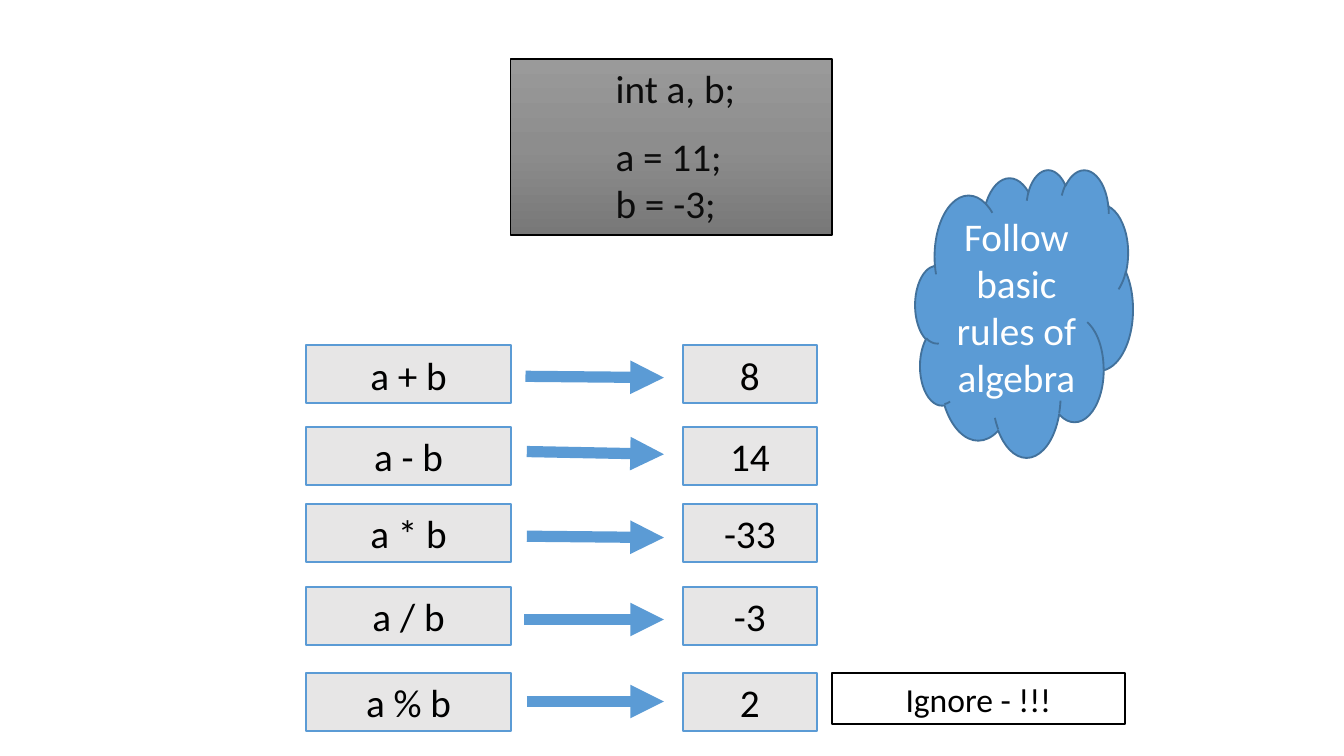
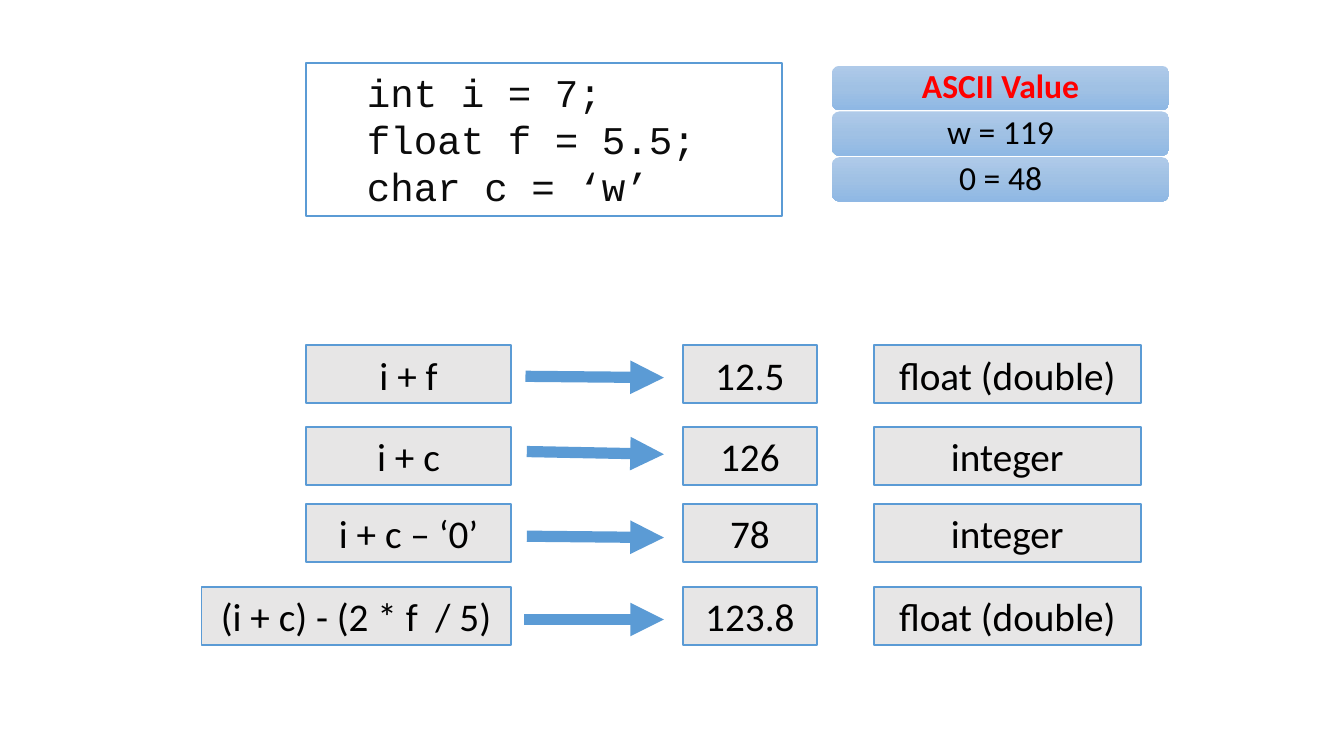
import copy

import pptx
import pptx.util
from lxml import etree
from pptx.dml.color import RGBColor
from pptx.enum.shapes import MSO_CONNECTOR, MSO_SHAPE
from pptx.enum.text import MSO_ANCHOR, MSO_AUTO_SIZE, PP_ALIGN
from pptx.oxml.ns import qn
from pptx.util import Inches

BLUE, GREY, WHITE, BLACK, INK = "5B9BD5", "E7E6E6", "FFFFFF", "000000", "0C0C0C"
ROW_TOPS = [2.57, 3.18, 3.75, 4.37, 5.01]
ROW_HEIGHT = 0.43
# Start x, start y and end y of the arrow in each row
ARROWS = [(3.91, 2.8, 2.81), (3.92, 3.36, 3.38), (3.92, 3.99, 4),
          (3.9, 4.61, 4.61), (3.92, 5.22, 5.22)]
ARROW_END = 4.94


def rgb(value):
    return RGBColor.from_string(value)


def add_box(s, at, lines, fill=GREY, line=BLUE, width=1, size=21, color=BLACK,
            font="Calibri", kind=MSO_SHAPE.RECTANGLE, level=0, indent=None,
            middle=False, bold=None):
    """Shape with text; a list of colours as fill makes a vertical gradient."""
    sp = s.shapes.add_shape(kind, *[Inches(v) for v in at])
    sp.shadow.inherit = False
    if isinstance(fill, list):
        sp.fill.gradient()
        sp.fill.gradient_angle = 270
        stops = sp._element.spPr.find(qn("a:gradFill")).find(qn("a:gsLst"))
        stops.insert(1, copy.deepcopy(stops[0]))
        for i, (stop, value) in enumerate(zip(sp.fill.gradient_stops, fill)):
            stop.position = i / 2
            stop.color.rgb = rgb(value)
    else:
        sp.fill.solid()
        sp.fill.fore_color.rgb = rgb(fill)
    if line:
        sp.line.color.rgb = rgb(line)
        sp.line.width = pptx.util.Pt(width)
    else:
        sp.line.fill.background()

    tf = sp.text_frame
    tf.word_wrap = True
    tf.auto_size = MSO_AUTO_SIZE.NONE if middle else MSO_AUTO_SIZE.SHAPE_TO_FIT_TEXT
    tf.vertical_anchor = MSO_ANCHOR.MIDDLE if middle else MSO_ANCHOR.TOP
    tf.margin_left = tf.margin_right = Inches(0.07)
    tf.margin_top = tf.margin_bottom = Inches(0.04)
    for i, text in enumerate(lines):
        p = tf.add_paragraph() if i else tf.paragraphs[0]
        p.alignment = PP_ALIGN.CENTER if indent is None else PP_ALIGN.LEFT
        if indent is not None:
            p.level = level
            pPr = p._p.get_or_add_pPr()
            pPr.set("marL", str(Inches(indent)))
            pPr.set("indent", "0")
        r = p.add_run()
        r.text = text
        r.font.name = font
        r.font.size = pptx.util.Pt(size)
        r.font.color.rgb = rgb(color)
        r.font.bold = bold
    return sp


# Widescreen page, 16:9
prs = pptx.Presentation()
prs.slide_width = Inches(10)
prs.slide_height = prs.slide_width * 9 // 16

# Expression, result and type of each row, slide by slide
slide_rows = [
    [("a + b", "8"), ("a - b", "14"), ("a * b", "-33"), ("a / b", "-3"), ("a % b", "2")],
    [("i + f", "12.5", "float (double)"), ("i + c", "126", "integer"),
     ("i + c – ‘0’", "78", "integer"),
     ("(i + c) - (2 * f  / 5)", "123.8", "float (double)")],
]
for rows in slide_rows:
    s = prs.slides.add_slide(prs.slide_layouts[6])
    for cells, top, (start, y1, y2) in zip(rows, ROW_TOPS, ARROWS):
        long_text = len(cells[0]) > 12
        columns = [(1.5, 2.3) if long_text else (2.28, 1.52), (5.08, 1), (6.5, 1.99)]
        for text, (left, width) in zip(cells, columns):
            add_box(s, (left, top, width, ROW_HEIGHT), [text])
        arrow = s.shapes.add_connector(MSO_CONNECTOR.STRAIGHT, Inches(start), Inches(y1),
                                       Inches(ARROW_END), Inches(y2))
        arrow.line.color.rgb = rgb(BLUE)
        arrow.line.width = pptx.util.Pt(6)
        spPr = arrow._element.spPr
        etree.SubElement(spPr.find(qn("a:ln")), qn("a:tailEnd"), type="triangle")
        etree.SubElement(spPr, qn("a:effectLst"))

algebra, mixed = prs.slides

# Slide 1: declarations, remark and cloud
add_box(algebra, (6.19, 5.01, 2.18, 0.38), ["Ignore - !!!"], fill=WHITE, line=BLACK, size=18)
code = add_box(algebra, (3.8, 0.44, 2.39, 1.31), ["int a, b;", "a = 11;", "b = -3;"],
               fill=["9A9A9A", "8D8D8D", "787878"], line=BLACK, width=0.75,
               color=INK, level=3, indent=0.71)
code.text_frame.paragraphs[1].space_before = pptx.util.Pt(11)
add_box(algebra, (6.81, 1.26, 1.62, 2.14), ["Follow basic rules of algebra"], fill=BLUE,
        line="42719B", color=WHITE, kind=MSO_SHAPE.CLOUD, middle=True)

# Slide 2: declarations and ASCII values
add_box(mixed, (2.28, 0.47, 3.54, 1.14), ["int i = 7;", "float f = 5.5;", "char c = ‘w’"],
        fill=WHITE, color=INK, font="Courier New", level=1, indent=0.38)
for i, text in enumerate(["ASCII Value", "w = 119", "0 = 48"]):
    bar = add_box(mixed, (6.19, 0.49 + 0.34 * i, 2.51, 0.33), [text],
                  fill=["AFCAE9", "A0C1E4", "8FB8E4"], line=None, size=18,
                  color=BLACK if i else "FF0000", bold=i == 0,
                  kind=MSO_SHAPE.ROUNDED_RECTANGLE, middle=True)
    bar.text_frame.paragraphs[0].line_spacing = 0.9

prs.save("out.pptx")
